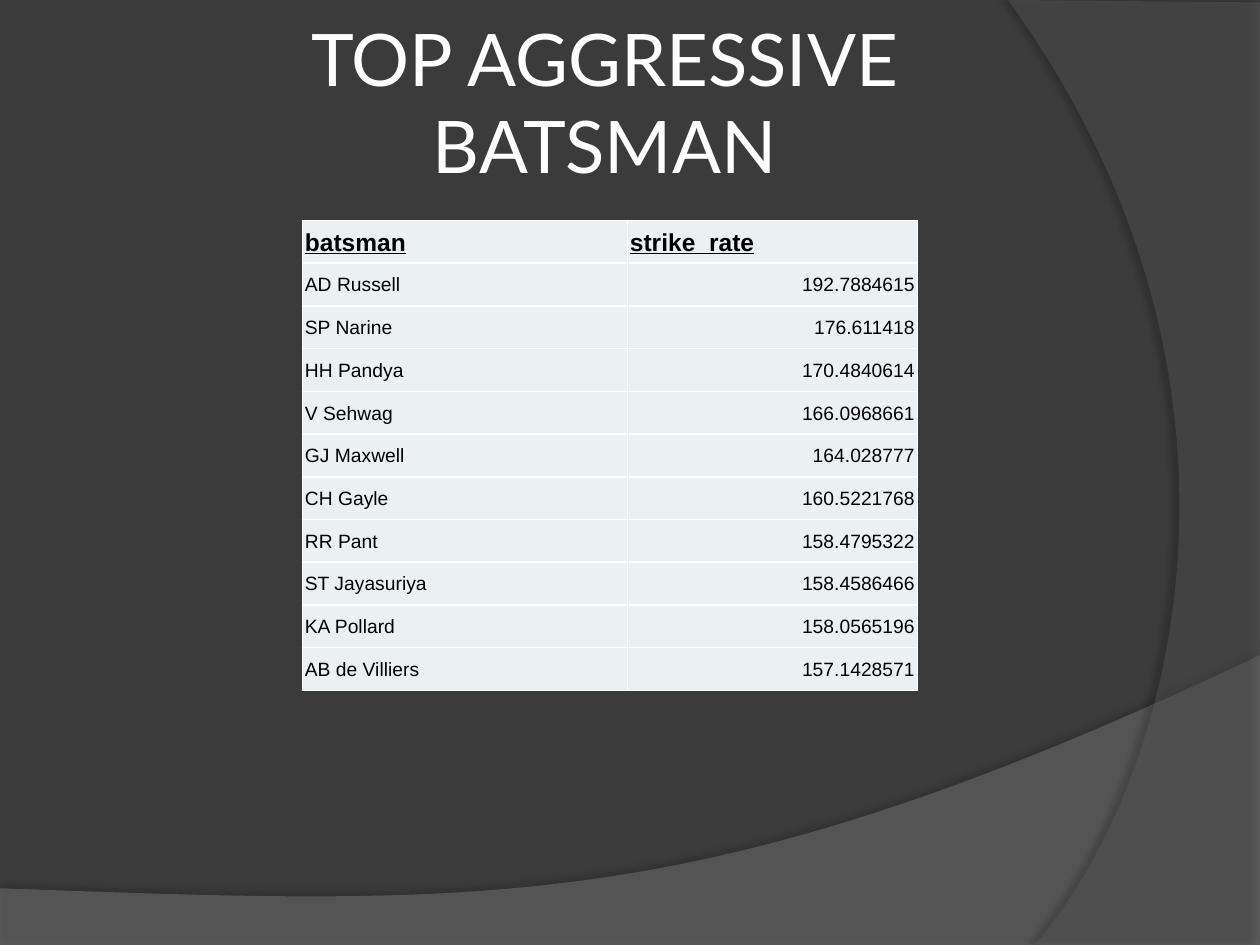
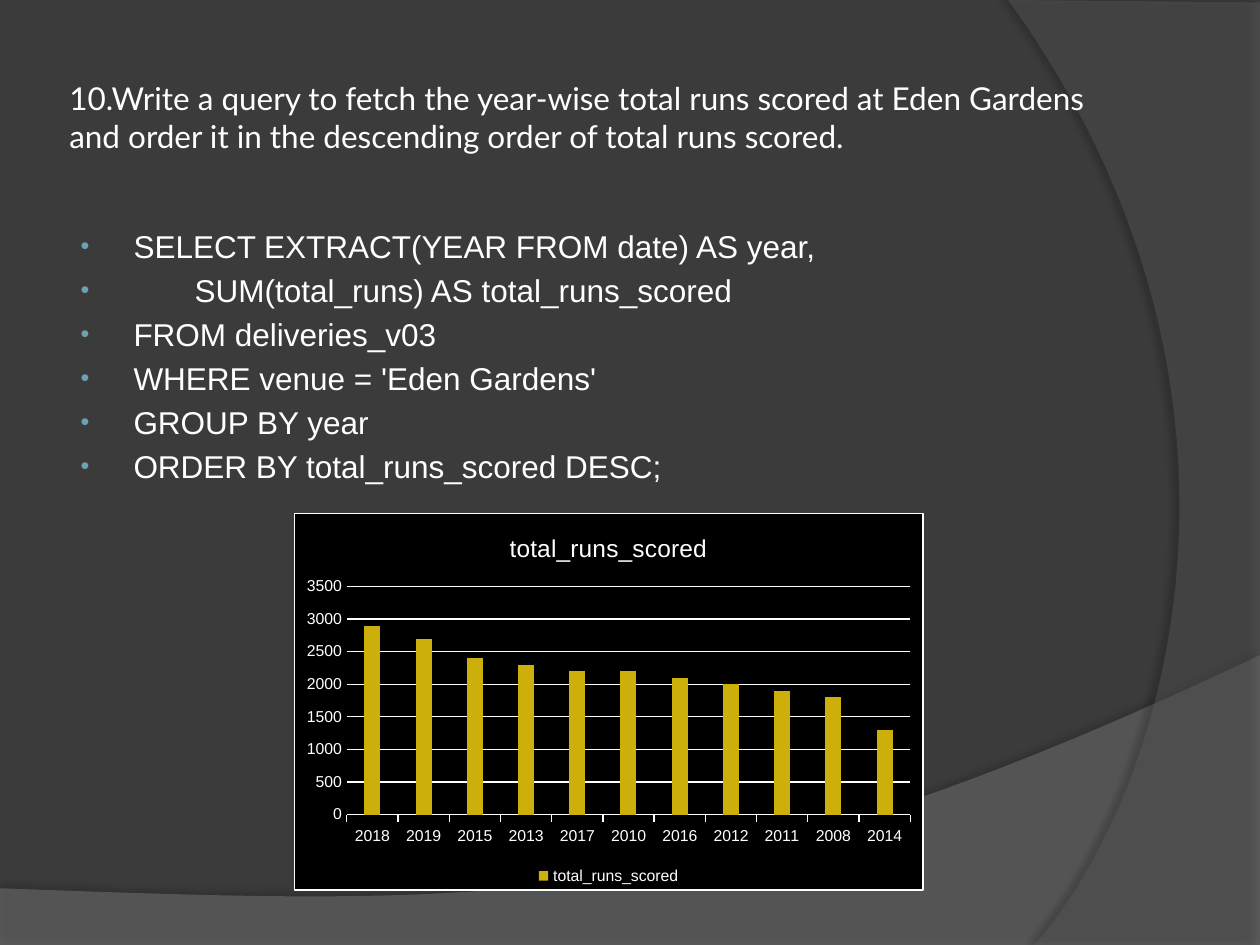
from dataclasses import dataclass
from lxml import etree
from pptx import Presentation
from pptx.chart.data import CategoryChartData
from pptx.dml.color import RGBColor
from pptx.enum.chart import XL_CHART_TYPE as ChartType, XL_LEGEND_POSITION as LegendPosition
from pptx.enum.chart import XL_TICK_MARK as TickMark
from pptx.enum.text import MSO_ANCHOR as Anchor, MSO_AUTO_SIZE as AutoSize, PP_ALIGN as Align
from pptx.oxml import parse_xml
from pptx.oxml.ns import nsdecls, qn
from pptx.util import Inches, Pt


@dataclass(frozen=True)
class Theme:
    background: str = "3B3B3B"
    floor: str = "7F7F7F"
    side: str = "5E5E5E"
    light: str = "FFFFFF"
    dark: str = "000000"
    cell: str = "EBF0F2"
    bullet: str = "6EA0B0"
    bar: str = "CCAF0A"
    title_font: str = "Lato"
    body_font: str = "Arial"
    headline: float = 41.4
    text: float = 18
    heading: float = 14
    cell_text: float = 11
    chart_text: float = 10
    axis_text: float = 9
    line: float = 0.75


THEME = Theme()

STRIKE_RATES = [
    ("batsman", "strike_rate"),
    ("AD Russell", "192.7884615"),
    ("SP Narine", "176.611418"),
    ("HH Pandya", "170.4840614"),
    ("V Sehwag", "166.0968661"),
    ("GJ Maxwell", "164.028777"),
    ("CH Gayle", "160.5221768"),
    ("RR Pant", "158.4795322"),
    ("ST Jayasuriya", "158.4586466"),
    ("KA Pollard", "158.0565196"),
    ("AB de Villiers", "157.1428571"),
]
QUESTION = (
    "10.Write a query to fetch the year-wise total runs scored at Eden Gardens "
    "and order it in the descending order of total runs scored."
)
QUERY = [
    "SELECT EXTRACT(YEAR FROM date) AS year,",
    "       SUM(total_runs) AS total_runs_scored",
    "FROM deliveries_v03",
    "WHERE venue = 'Eden Gardens'",
    "GROUP BY year",
    "ORDER BY total_runs_scored DESC;",
]
RUNS_BY_YEAR = {
    "2018": 2900, "2019": 2700, "2015": 2400, "2013": 2300, "2017": 2200, "2010": 2200,
    "2016": 2100, "2012": 2000, "2011": 1900, "2008": 1800, "2014": 1300,
}


def color(value):
    return RGBColor.from_string(value)


def style_font(font, size, ink=THEME.light, name=THEME.body_font, bold=False, underline=False):
    font.size = Pt(size)
    font.name = name
    font.bold = bold
    font.underline = underline
    font.color.rgb = color(ink)


def write(paragraph, text, align=Align.LEFT, **font_format):
    run = paragraph.add_run()
    run.text = text
    paragraph.alignment = align
    style_font(run.font, **font_format)


def style_line(line, ink=THEME.light, width=THEME.line):
    line.color.rgb = color(ink)
    line.width = Pt(width)


def place(shape, box):
    shape.left, shape.top, shape.width, shape.height = map(Inches, box)


def bend_last_segment(shape, controls):
    segment = shape.element.findall(".//" + qn("a:lnTo"))[-1]
    segment.tag = qn("a:cubicBezTo")
    for position, (x, y) in enumerate(controls):
        point = segment.makeelement(qn("a:pt"), x=str(Inches(x)), y=str(Inches(y)))
        segment.insert(position, point)


def add_band(slide, box, corners, controls, fill, opacity, shadow):
    left, top = box
    points = [(Inches(left + x), Inches(top + y)) for x, y in corners]
    builder = slide.shapes.build_freeform(*points[0])
    builder.add_line_segments(points[1:], close=True)
    band = builder.convert_to_shape()
    bend_last_segment(band, controls)
    band.fill.solid()
    band.fill.fore_color.rgb = color(fill)
    band.line.fill.background()
    band.shadow.inherit = False
    properties = band.element.spPr
    ink = properties.find(qn("a:solidFill"))[0]
    etree.SubElement(ink, qn("a:alpha"), val=str(opacity * 1000))
    alpha, blur, distance, direction = shadow
    properties.find(qn("a:effectLst")).append(parse_xml(
        f'<a:outerShdw {nsdecls("a")} blurRad="{Pt(blur)}" dist="{Pt(distance)}" '
        f'dir="{direction * 60000}" algn="ctr" rotWithShape="0"><a:srgbClr val="{THEME.dark}">'
        f'<a:alpha val="{alpha * 1000}"/></a:srgbClr></a:outerShdw>'
    ))
    return band


def set_master(presentation, slide):
    master = presentation.slide_master
    master.background.fill.solid()
    master.background.fill.fore_color.rgb = color(THEME.background)
    floor = add_band(
        slide, (0, 5.2), [(0, 1.85), (0, 2.31), (10, 2.31), (10, 0), (0, 1.85)],
        [(5.59, 2.09), (3.91, 1.99)], THEME.floor, 45, (35, 4, 3.5, 270),
    )
    side = add_band(
        slide, (8, 0), [(2, 0.02), (2, 7.5), (0.21, 7.5), (0, 0)],
        [(1.35, 6.19), (2.18, 3)], THEME.side, 40, (45, 4, 4, 180),
    )
    for position, band in enumerate((floor, side), start=2):
        master.shapes.element.insert(position, band.element)


def add_title(slide, box, text, size, align=Align.LEFT):
    title = slide.shapes.title
    place(title, box)
    frame = title.text_frame
    frame.auto_size = AutoSize.NONE
    frame.word_wrap = True
    frame.vertical_anchor = Anchor.MIDDLE
    frame.margin_left = frame.margin_right = frame.margin_top = frame.margin_bottom = Inches(0.05)
    write(frame.paragraphs[0], text, align, size=size, name=THEME.title_font)


def add_query(slide, box, lines):
    body = slide.placeholders[1]
    place(body, box)
    frame = body.text_frame
    frame.auto_size = AutoSize.NONE
    for index, line in enumerate(lines):
        paragraph = frame.add_paragraph() if index else frame.paragraphs[0]
        properties = paragraph._p.get_or_add_pPr()
        properties.set("marL", str(Inches(0.46)))
        properties.set("indent", str(Inches(-0.42)))
        ink = etree.SubElement(properties, qn("a:buClr"))
        etree.SubElement(ink, qn("a:srgbClr"), val=THEME.bullet)
        etree.SubElement(properties, qn("a:buSzPct"), val="80000")
        etree.SubElement(properties, qn("a:buFont"), typeface=THEME.body_font)
        etree.SubElement(properties, qn("a:buChar"), char="•")
        paragraph.space_before = Pt(THEME.text * 0.2 if index else 0)
        write(paragraph, line, size=THEME.text)


def style_cell(cell):
    cell.vertical_anchor = Anchor.MIDDLE
    cell.margin_left = cell.margin_right = Inches(0.02)
    cell.margin_top, cell.margin_bottom = Inches(0.01), 0
    properties = cell._tc.get_or_add_tcPr()
    for side in ("lnL", "lnR", "lnT", "lnB"):
        border = etree.SubElement(properties, qn(f"a:{side}"), w=str(Pt(1)))
        fill = etree.SubElement(border, qn("a:solidFill"))
        etree.SubElement(fill, qn("a:srgbClr"), val=THEME.light)
    cell.fill.solid()
    cell.fill.fore_color.rgb = color(THEME.cell)


def add_strike_rate_table(slide, box, rows, widths):
    table = slide.shapes.add_table(len(rows), len(widths), *map(Inches, box)).table
    for column, width in zip(table.columns, widths):
        column.width = Inches(width)
    for row_index, values in enumerate(rows):
        table.rows[row_index].height = Inches(box[3] / len(rows))
        header = row_index == 0
        for column_index, value in enumerate(values):
            cell = table.cell(row_index, column_index)
            style_cell(cell)
            write(
                cell.text_frame.paragraphs[0], value,
                Align.RIGHT if column_index and not header else Align.LEFT,
                size=THEME.heading if header else THEME.cell_text,
                ink=THEME.dark, bold=header, underline=header,
            )


def style_chart_area(chart):
    chart._chartSpace.find(qn("c:txPr")).addprevious(parse_xml(
        f'<c:spPr {nsdecls("c", "a")}><a:solidFill><a:srgbClr val="{THEME.dark}"/></a:solidFill>'
        f'<a:ln w="{Pt(THEME.line)}"><a:solidFill><a:srgbClr val="{THEME.light}"/></a:solidFill>'
        f'</a:ln></c:spPr>'
    ))


def add_runs_chart(slide, box, name, runs):
    data = CategoryChartData()
    data.categories = list(runs)
    data.add_series(name, list(runs.values()))
    chart = slide.shapes.add_chart(ChartType.COLUMN_CLUSTERED, *map(Inches, box), data).chart
    style_font(chart.font, THEME.chart_text)
    style_chart_area(chart)
    chart.has_title = True
    write(chart.chart_title.text_frame.paragraphs[0], name, Align.CENTER, size=THEME.heading)
    chart.has_legend = True
    chart.legend.position = LegendPosition.BOTTOM
    chart.legend.include_in_layout = False
    style_font(chart.legend.font, THEME.axis_text)

    plot = chart.plots[0]
    plot.gap_width = 219
    plot.overlap = -27
    plot.vary_by_categories = False
    bars = plot.series[0].format.fill
    bars.solid()
    bars.fore_color.rgb = color(THEME.bar)

    years, totals = chart.category_axis, chart.value_axis
    for axis in (years, totals):
        style_font(axis.tick_labels.font, THEME.axis_text)
    years.major_tick_mark = TickMark.OUTSIDE
    style_line(years.format.line)
    totals.minimum_scale, totals.maximum_scale, totals.major_unit = 0, 3500, 500
    totals.major_tick_mark = TickMark.NONE
    totals.format.line.fill.background()
    style_line(totals.major_gridlines.format.line)


def build_batsman_slide(slide):
    add_title(slide, (1.06, 0.3, 7.48, 1.01), "TOP AGGRESSIVE BATSMAN", THEME.headline, Align.CENTER)
    add_strike_rate_table(slide, (2.4, 1.75, 4.88, 3.73), STRIKE_RATES, (2.58, 2.3))


def build_query_slide(slide):
    add_title(slide, (0.5, 0.3, 8.17, 1.25), QUESTION, THEME.text)
    add_query(slide, (0.5, 1.75, 8.17, 4.95), QUERY)
    add_runs_chart(slide, (2.33, 4.07, 5, 3), "total_runs_scored", RUNS_BY_YEAR)


def main():
    presentation = Presentation()
    presentation.slide_width, presentation.slide_height = Inches(10), Inches(7.5)
    layouts = presentation.slide_layouts
    batsman_slide = presentation.slides.add_slide(layouts.get_by_name("Title Only"))
    query_slide = presentation.slides.add_slide(layouts.get_by_name("Title and Content"))
    set_master(presentation, batsman_slide)
    build_batsman_slide(batsman_slide)
    build_query_slide(query_slide)
    presentation.save("out.pptx")


if __name__ == "__main__":
    main()
